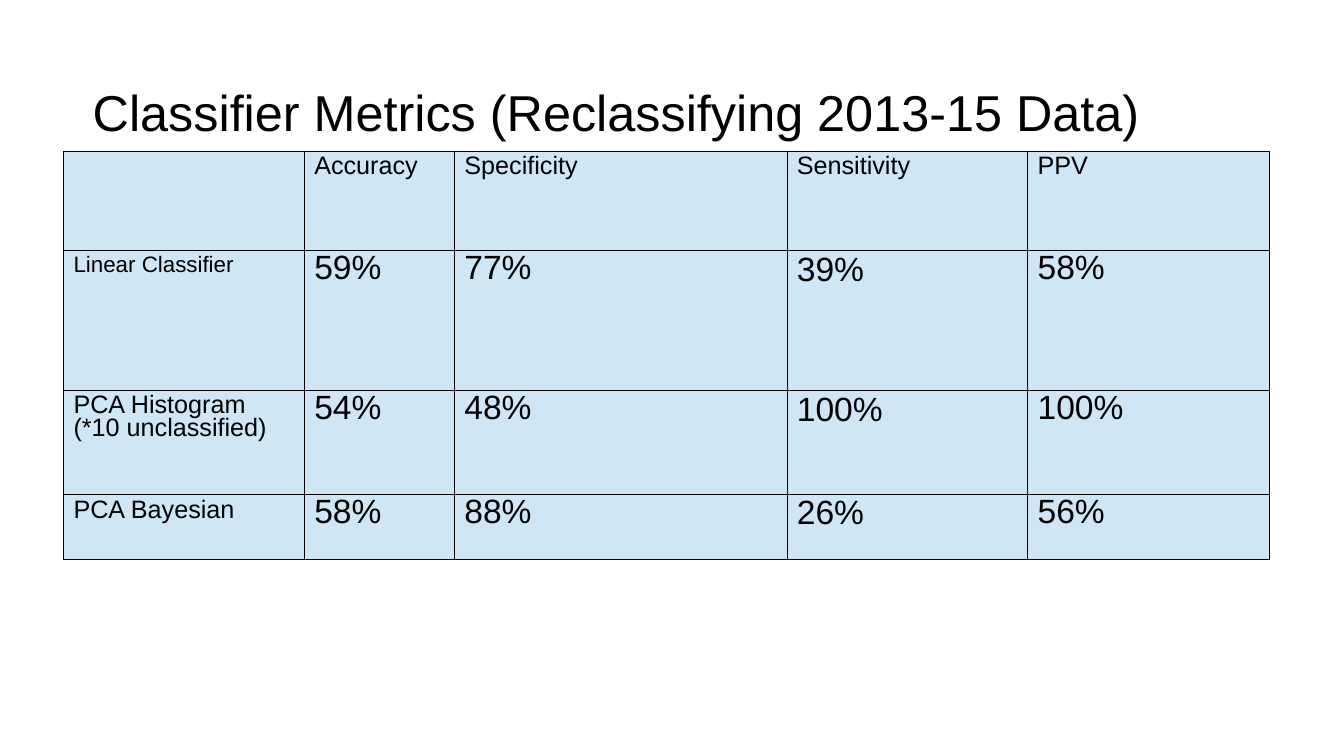
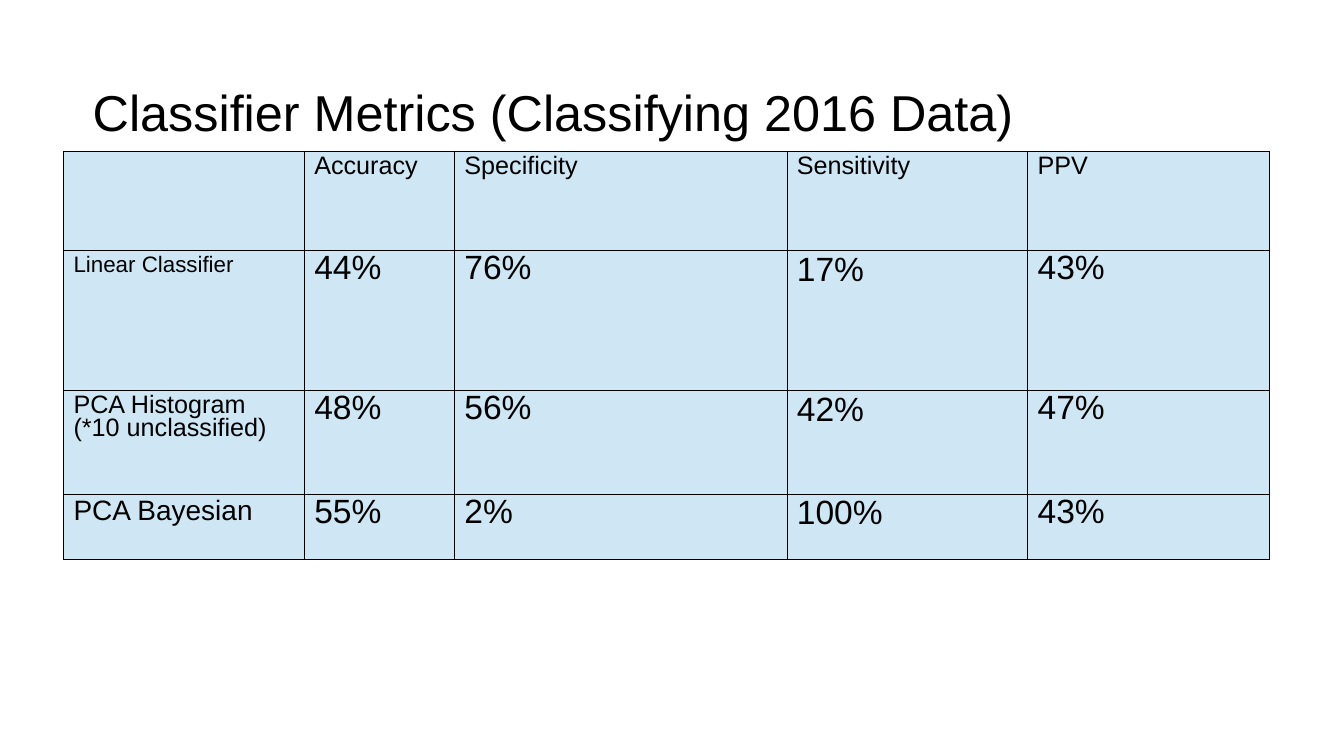
from lxml.etree import SubElement
from pptx import Presentation
from pptx.dml.color import RGBColor
from pptx.enum.text import MSO_ANCHOR
from pptx.oxml.ns import qn
from pptx.util import Inches, Pt

BLACK = RGBColor(0x00, 0x00, 0x00)
PALE_BLUE = RGBColor(0xCF, 0xE7, 0xF5)
FONT = "Arial"
TITLE_BOX = (0.92, 0.4, 11.5, 1.45)
TABLE_BOX = (0.63, 1.5, 11.98, 4.05)
COLUMN_WIDTHS = (2.39, 1.49, 3.3, 2.39, 2.4)
ROW_HEIGHTS = (0.98, 1.39, 1.03, 0.65)
BORDER_WIDTH = Pt(0.34)
TIGHT, LOOSE = 0.81, 0.87
HEADER_SIZE, VALUE_SIZE = 18, 24

METRICS = ("Accuracy", "Specificity", "Sensitivity", "PPV")
CLASSIFIERS = (
    ("Linear Classifier", LOOSE),
    ("PCA Histogram\n(*10 unclassified)", TIGHT),
    ("PCA Bayesian", LOOSE),
)
SLIDES = (
    (
        "Classifier Metrics (Reclassifying 2013-15 Data)",
        (16, 18, 18),
        (
            ("59%", "77%", "39%", "58%"),
            ("54%", "48%", "100%", "100%"),
            ("58%", "88%", "26%", "56%"),
        ),
    ),
    (
        "Classifier Metrics (Classifying 2016 Data)",
        (16, 18, 20),
        (
            ("44%", "76%", "17%", "43%"),
            ("48%", "56%", "42%", "47%"),
            ("55%", "2%", "100%", "43%"),
        ),
    ),
)


def write(frame, text, size, spacing):
    """Fill a text frame and format every paragraph alike."""
    frame.text = text
    for paragraph in frame.paragraphs:
        paragraph.line_spacing = spacing
        paragraph.font.size = Pt(size)
        for run in paragraph.runs:
            run.font.size = Pt(size)
            run.font.name = FONT
            run.font.color.rgb = BLACK


def add_title(slide, box, text):
    """Place the slide title in the given box."""
    frame = slide.shapes.add_textbox(*map(Inches, box)).text_frame
    frame.word_wrap = True
    frame.vertical_anchor = MSO_ANCHOR.MIDDLE
    frame.margin_left = frame.margin_right = frame.margin_bottom = 0
    frame.margin_top = Inches(0.03)
    write(frame, text, 36, 0.93)


def style_cell(cell):
    """Give a cell thin black borders and the pale fill."""
    properties = cell._tc.get_or_add_tcPr()
    for side in ("a:lnL", "a:lnR", "a:lnT", "a:lnB"):
        border = SubElement(properties, qn(side), w=str(BORDER_WIDTH))
        fill = SubElement(border, qn("a:solidFill"))
        SubElement(fill, qn("a:srgbClr"), val=str(BLACK))
    cell.fill.solid()
    cell.fill.fore_color.rgb = PALE_BLUE


def add_metrics_table(slide, box, label_sizes, values):
    """Place the table of classifiers against metrics in the given box."""
    table = slide.shapes.add_table(
        len(ROW_HEIGHTS), len(COLUMN_WIDTHS), *map(Inches, box)
    ).table
    table.first_row = table.horz_banding = False
    for column, width in zip(table.columns, COLUMN_WIDTHS):
        column.width = Inches(width)
    for row, height in zip(table.rows, ROW_HEIGHTS):
        row.height = Inches(height)
    for cell in table.iter_cells():
        style_cell(cell)

    for column, metric in enumerate(METRICS, 1):
        write(table.cell(0, column).text_frame, metric, HEADER_SIZE, TIGHT)
    rows = zip(CLASSIFIERS, label_sizes, values)
    for row, ((classifier, spacing), size, scores) in enumerate(rows, 1):
        write(table.cell(row, 0).text_frame, classifier, size, spacing)
        for column, (metric, score) in enumerate(zip(METRICS, scores), 1):
            spacing = LOOSE if metric == "Sensitivity" else TIGHT
            write(table.cell(row, column).text_frame, score, VALUE_SIZE, spacing)


def main():
    """Build and save the presentation."""
    deck = Presentation()
    deck.slide_width, deck.slide_height = Inches(13.34), Inches(7.5)
    blank = deck.slide_layouts[6]
    for title, label_sizes, values in SLIDES:
        slide = deck.slides.add_slide(blank)
        add_title(slide, TITLE_BOX, title)
        add_metrics_table(slide, TABLE_BOX, label_sizes, values)
    deck.save("out.pptx")


if __name__ == "__main__":
    main()
